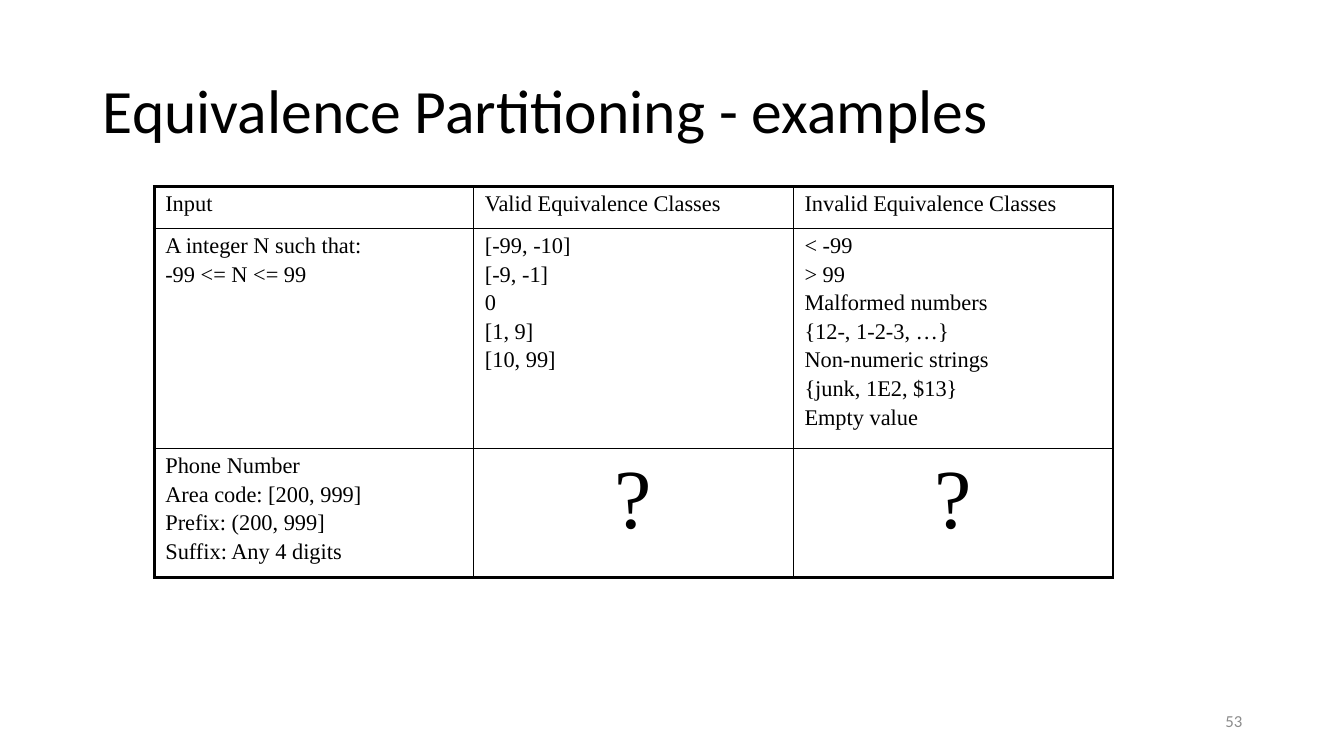
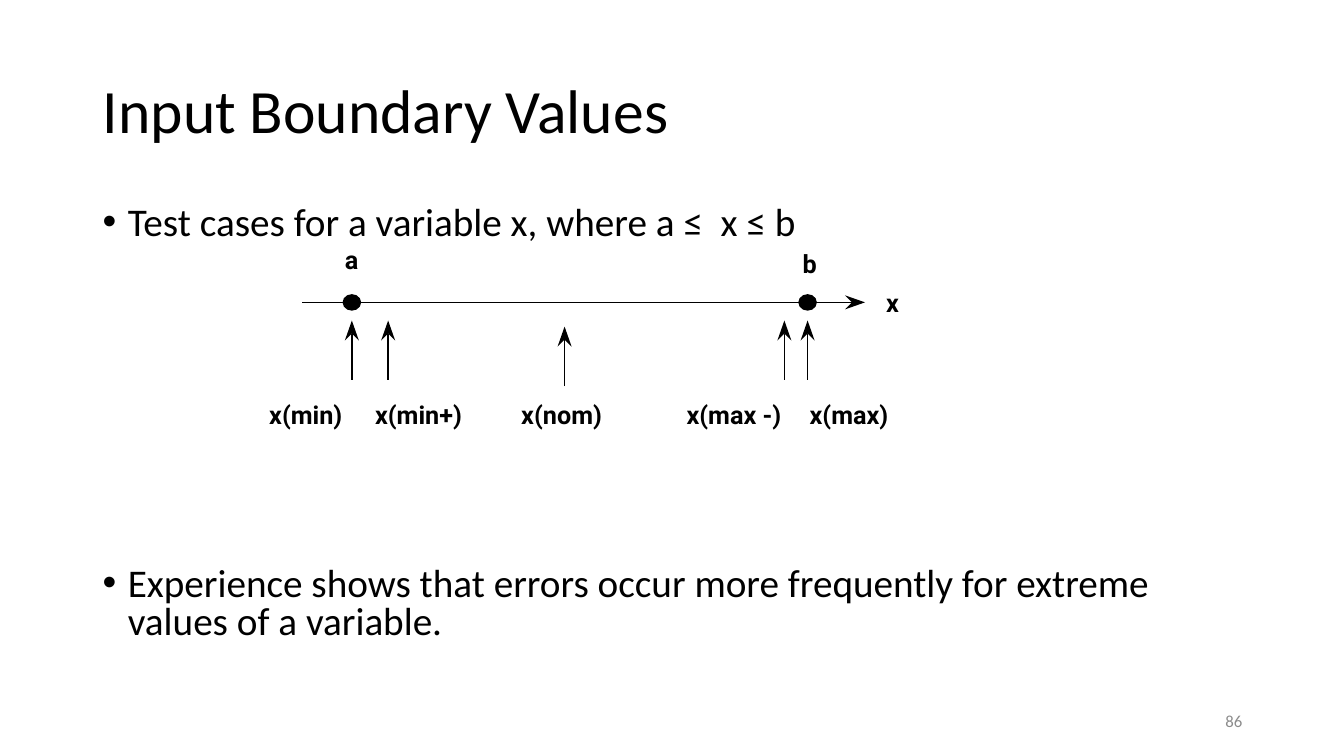
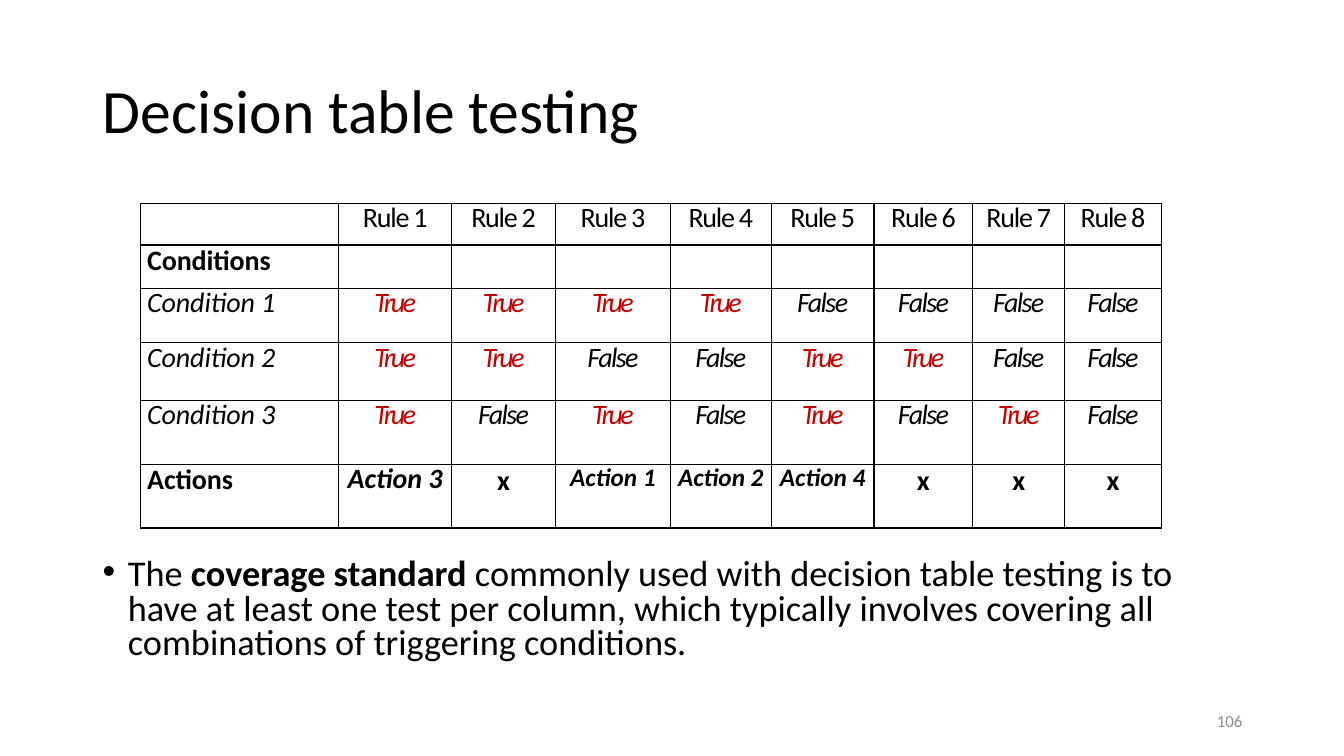
"""Builds three slides on software testing techniques."""
from math import hypot

from lxml import etree
from pptx import Presentation
from pptx import util as u
from pptx.dml.color import RGBColor
from pptx.enum import shapes, text
from pptx.oxml.ns import qn

SCALE = 9144
BLACK, GREY, RED = "000000", "8C8C8C", "C00000"
SANS, SERIF, LABEL = "Calibri", "Times New Roman", "Roboto"
MID = text.PP_ALIGN.CENTER


def px(n):
    return u.Emu(round(n * SCALE))


def rgb(code):
    return RGBColor.from_string(code)


def style(run, size, face=SANS, color=BLACK, bold=False, italic=False, gap=0):
    font = run.font
    font.size, font.name = u.Pt(size), face
    font.bold, font.italic = bold, italic
    font.color.rgb = rgb(color)
    if gap:
        run._r.get_or_add_rPr().set("spc", str(gap))


def write(frame, words, size, align=None, lead=None, space=0, **look):
    frame.text = words
    for i, para in enumerate(frame.paragraphs):
        para.alignment, para.line_spacing = align, lead
        if i and space:
            para.space_before = u.Pt(space)
        for run in para.runs:
            style(run, size, **look)


def inset(box, left, top, right, base):
    box.margin_left, box.margin_top = px(left), px(top)
    box.margin_right, box.margin_bottom = px(right), px(base)


def start(deck, title, number):
    slide = deck.slides.add_slide(deck.slide_layouts[5])
    head = slide.shapes.title
    head.left, head.top, head.width, head.height = map(px, (92, 40, 1150, 145))
    head.text_frame.vertical_anchor = text.MSO_ANCHOR.MIDDLE
    write(head.text_frame, title, 44, text.PP_ALIGN.LEFT, 0.9)
    foot = slide.shapes.add_textbox(*map(px, (942, 695, 300, 40))).text_frame
    foot.word_wrap = True
    foot.vertical_anchor = text.MSO_ANCHOR.MIDDLE
    write(foot, number, 12, text.PP_ALIGN.RIGHT, color=GREY)
    return slide.shapes


def bullets(tree, top, high, size, items, space=0):
    frame = tree.add_textbox(*map(px, (92, top, 1150, high))).text_frame
    frame.word_wrap = True
    for i, parts in enumerate(items):
        para = frame.add_paragraph() if i else frame.paragraphs[0]
        para.line_spacing = 0.8
        if i:
            para.space_before = u.Pt(space)
        props = para._p.get_or_add_pPr()
        props.set("marL", str(px(25)))
        props.set("indent", str(px(-25)))
        face = etree.SubElement(props, qn("a:buFont"))
        face.set("typeface", "Arial")
        etree.SubElement(props, qn("a:buChar")).set("char", "•")
        for words, bold in parts:
            run = para.add_run()
            run.text = words
            style(run, size, bold=bold)


def edge(cell, side, width):
    line = etree.SubElement(cell._tc.get_or_add_tcPr(), qn("a:ln" + side))
    line.set("w", str(u.Pt(width)))
    fill = etree.SubElement(line, qn("a:solidFill"))
    etree.SubElement(fill, qn("a:srgbClr")).set("val", BLACK)


def grid(tree, left, top, cols, rows, rim, pad):
    frame = tree.add_table(len(rows), len(cols), px(left), px(top),
                           px(sum(cols)), px(sum(rows)))
    table = frame.table
    table.first_row = table.horz_banding = False
    for col, wide in zip(table.columns, cols):
        col.width = px(wide)
    for row, high in zip(table.rows, rows):
        row.height = px(high)
    for r in range(len(rows)):
        for c in range(len(cols)):
            cell = table.cell(r, c)
            outer = {"L": c == 0, "R": c == len(cols) - 1,
                     "T": r == 0, "B": r == len(rows) - 1}
            for side, out in outer.items():
                edge(cell, side, rim if out else 1)
            cell.fill.background()
            inset(cell, *pad)
    return table


def rule(tree, x0, y0, x1, y1):
    line = tree.add_connector(shapes.MSO_CONNECTOR.STRAIGHT,
                              px(x0), px(y0), px(x1), px(y1))
    line.line.color.rgb = rgb(BLACK)
    line.line.width = u.Pt(1)
    etree.SubElement(line._element.spPr, qn("a:effectLst"))


def arrow(tree, x0, y0, x1, y1):
    """Draws a line that ends in a notched head at the second point."""
    size = hypot(x1 - x0, y1 - y0)
    dx, dy = (x1 - x0) / size, (y1 - y0) / size

    def spot(back, side):
        return px(x1 - back * dx - side * dy), px(y1 - back * dy + side * dx)

    rule(tree, x0, y0, x1 - 13 * dx, y1 - 13 * dy)
    pen = tree.build_freeform(*spot(0, 0))
    pen.add_line_segments([spot(20, 7), spot(13, 0), spot(20, -7)], close=True)
    solid(pen.convert_to_shape()).line.fill.background()


def solid(shape):
    shape.shadow.inherit = False
    shape.fill.solid()
    shape.fill.fore_color.rgb = rgb(BLACK)
    return shape


def dot(tree, x, y):
    oval = tree.add_shape(shapes.MSO_SHAPE.OVAL,
                          px(x - 8.5), px(y - 7.5), px(17), px(15))
    solid(oval).line.color.rgb = rgb(BLACK)
    oval.line.width = u.Pt(1)


def label(tree, words, left, top, wide):
    frame = tree.add_textbox(px(left), px(top), px(wide), px(30)).text_frame
    inset(frame, 0, 0, 0, 0)
    frame.word_wrap = False
    frame.auto_size = text.MSO_AUTO_SIZE.SHAPE_TO_FIT_TEXT
    write(frame, words, 18, face=LABEL, bold=True)


def classes(deck):
    tree = start(deck, "Equivalence Partitioning - examples", "53")
    rows = [
        ("Input", "Valid Equivalence Classes", "Invalid Equivalence Classes"),
        ("A integer N such that:\n-99 <= N <= 99",
         "[-99, -10]\n[-9, -1]\n0\n[1, 9]\n[10, 99]",
         "< -99\n> 99\nMalformed numbers\n{12-, 1-2-3, …}\n"
         "Non-numeric strings\n{junk, 1E2, $13}\nEmpty value"),
        ("Phone Number\nArea code: [200, 999]\nPrefix: (200, 999]\n"
         "Suffix: Any 4 digits", "?", "?"),
    ]
    table = grid(tree, 153, 185, [317] * 3, [42, 209, 122], 2.25,
                 (11, 5, 11, 5))
    for r, row in enumerate(rows):
        for c, words in enumerate(row):
            size, align = (60, MID) if words == "?" else (16, None)
            write(table.cell(r, c).text_frame, words, size, align,
                  space=2.6, face=SERIF)


def bounds(deck):
    tree = start(deck, "Input Boundary Values", "86")
    bullets(tree, 200, 476, 28, [
        [("Test cases for a variable x, where a ≤  x ≤ b", False)],
        [("Experience shows that errors occur more frequently for extreme "
          "values of a variable.", False)]], 231)
    chart = tree.add_group_shape().shapes
    for x in (349, 801):
        dot(chart, x, 300)
    arrow(chart, 300, 300, 858, 300)
    for x, tip in ((349, 318), (385, 318), (560, 324), (778, 318), (801, 318)):
        arrow(chart, x, tip + 59, x, tip)
    for words, left, top, wide in (
            ("a", 342, 242, 14), ("b", 796, 246, 15), ("x", 879, 285, 14),
            ("x(min)", 267, 396, 75), ("x(min+)", 372, 396, 103),
            ("x(nom)", 517, 396, 83), ("x(max -)", 681, 396, 96),
            ("x(max)", 803, 396, 81)):
        label(chart, words, left, top, wide)


def rules(deck):
    tree = start(deck, "Decision table testing", "106")
    bullets(tree, 549, 127, 25.9, [[
        ("The ", False), ("coverage standard ", True),
        ("commonly used with decision table testing is to have at least one "
         "test per column, which typically involves covering all "
         "combinations of triggering conditions.", False)]])
    table = grid(tree, 139, 202, [197, 112, 103, 114, 100, 102, 98, 91, 96],
                 [41, 43, 54, 57, 64, 63], 1, (0, 0, 0, 0))

    def put(r, c, words, size=20, lead=22.8, **look):
        frame = table.cell(r, c).text_frame
        write(frame, words, size, MID if c else None, u.Pt(lead), **look)
        if not c:
            frame.paragraphs[0]._p.get_or_add_pPr().set("marL", str(px(7)))

    put(1, 0, "Conditions", lead=23.4, bold=True, gap=-10)
    put(5, 0, "Actions", lead=23.4, bold=True, gap=-10)
    for r in (2, 3, 4):
        put(r, 0, f"Condition {r - 1}", italic=True, gap=-10)
    acts = {1: "Action 3", 3: "Action 1", 4: "Action 2", 5: "Action 4"}
    for c in range(1, 9):
        put(0, c, f"Rule {c}", gap=-90)
        for r in (2, 3, 4):
            if (c - 1) >> (4 - r) & 1:
                put(r, c, "False", italic=True, gap=-120)
            else:
                put(r, c, "True", italic=True, gap=-190, color=RED)
        if c in acts:
            size, lead = (20, 22.8) if c == 1 else (18, 20.5)
            put(5, c, acts[c], size, lead, bold=True, italic=True)
        else:
            put(5, c, "x", lead=23.6, bold=True)


def main():
    deck = Presentation()
    deck.slide_width, deck.slide_height = px(1333), px(750)
    for build in (classes, bounds, rules):
        build(deck)
    deck.save("out.pptx")


if __name__ == "__main__":
    main()
